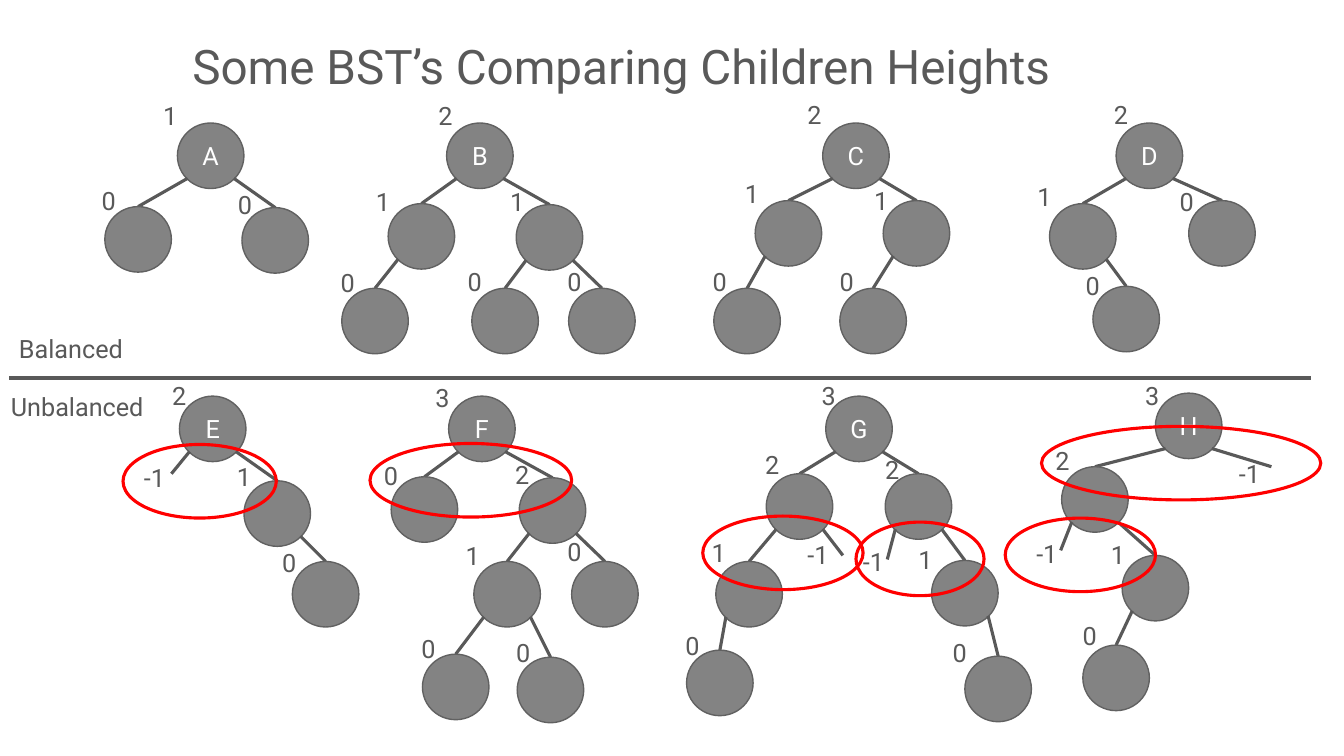
from dataclasses import dataclass

from lxml import etree
from pptx import Presentation
from pptx.dml.color import RGBColor
from pptx.enum import shapes as kinds, text as texts
from pptx.oxml.ns import qn
from pptx.util import Inches, Pt

FONT, INK = "Roboto", "595959"
WIDE, HIGH = 0.66, 0.65


@dataclass
class Gap:
    """Missing child: end of its stub and corner of its label."""
    x: float
    y: float
    tag_x: float
    tag_y: float


@dataclass
class Node:
    """Circle corner, label corner and children."""
    x: float
    y: float
    tag_x: float
    tag_y: float
    kids: tuple = ()
    name: str = ""


@dataclass
class Ring:
    x: float
    y: float
    wide: float


TREES = [
    Node(1.76, 1.22, 1.52, 0.95, (
        Node(1.04, 2.05, 0.91, 1.79),
        Node(2.4, 2.06, 2.26, 1.83)), "A"),
    Node(4.43, 1.22, 4.25, 0.95, (
        Node(3.85, 2.02, 3.63, 1.8, (Node(3.39, 2.86, 3.28, 2.6),)),
        Node(5.12, 2.03, 4.96, 1.8, (
            Node(4.68, 2.86, 4.54, 2.59),
            Node(5.64, 2.86, 5.53, 2.59)))), "B"),
    Node(8.16, 1.22, 7.91, 0.94, (
        Node(7.49, 1.99, 7.29, 1.72, (Node(7.08, 2.86, 6.97, 2.59),)),
        Node(8.76, 1.99, 8.57, 1.79, (Node(8.33, 2.86, 8.23, 2.59),))), "C"),
    Node(11.07, 1.22, 10.95, 0.94, (
        Node(10.41, 2.02, 10.19, 1.75, (Node(10.84, 2.84, 10.67, 2.63),)),
        Node(11.79, 1.99, 11.6, 1.8)), "D"),
    Node(1.78, 3.93, 1.61, 3.72, (
        Gap(1.7, 4.7, 1.33, 4.54),
        Node(2.42, 4.77, 2.25, 4.53, (Node(2.9, 5.57, 2.7, 5.38),))), "E"),
    Node(4.45, 3.93, 4.22, 3.74, (
        Node(3.88, 4.73, 3.71, 4.52),
        Node(5.15, 4.74, 5.01, 4.51, (
            Node(4.7, 5.57, 4.52, 5.31, (
                Node(4.19, 6.49, 4.08, 6.23),
                Node(5.13, 6.52, 5.02, 6.27))),
            Node(5.67, 5.57, 5.53, 5.27)))), "F"),
    Node(8.19, 3.93, 8.05, 3.72, (
        Node(7.6, 4.7, 7.49, 4.41, (
            Node(7.1, 5.57, 6.96, 5.28, (Node(6.81, 6.45, 6.7, 6.2),)),
            Gap(8.36, 5.51, 7.91, 5.3))),
        Node(8.78, 4.7, 8.68, 4.46, (
            Gap(8.8, 5.55, 8.46, 5.37),
            Node(9.24, 5.56, 9.01, 5.35, (Node(9.57, 6.51, 9.35, 6.27),))))), "G"),
    Node(11.46, 3.9, 11.26, 3.72, (
        Node(10.53, 4.63, 10.37, 4.37, (
            Gap(10.52, 5.46, 10.18, 5.29),
            Node(11.13, 5.51, 10.92, 5.3, (Node(10.74, 6.4, 10.64, 6.1),)))),
        Gap(12.61, 4.63, 12.19, 4.5)), "H"),
]

RINGS = [Ring(1.22, 4.41, 1.52), Ring(3.67, 4.4, 2), Ring(6.97, 5.12, 1.59),
         Ring(8.49, 5.18, 1.27), Ring(9.97, 5.14, 1.49), Ring(10.33, 4.23, 2.77)]


def paint(color, tint: str) -> None:
    color.rgb = RGBColor.from_string(tint)


def style(frame, size: float, tint: str) -> None:
    for run in frame.paragraphs[0].runs:
        run.font.name = FONT
        run.font.size = Pt(size)
        paint(run.font.color, tint)


def add_text(slide, words: str, x: float, y: float, wide: float):
    box = slide.shapes.add_textbox(Inches(x), Inches(y), Inches(wide), Inches(0.4))
    frame = box.text_frame
    frame.text = words
    frame.word_wrap = False
    frame.auto_size = texts.MSO_AUTO_SIZE.SHAPE_TO_FIT_TEXT
    style(frame, 18, INK)


def add_line(slide, x1: float, y1: float, x2: float, y2: float):
    line = slide.shapes.add_connector(
        kinds.MSO_CONNECTOR.STRAIGHT, Inches(x1), Inches(y1), Inches(x2), Inches(y2))
    paint(line.line.color, INK)
    line.line.width = Pt(2.25)
    etree.SubElement(line._element.spPr, qn("a:effectLst"))
    return line


def add_oval(slide, x: float, y: float, wide: float, high: float, edge: str, weight: float):
    oval = slide.shapes.add_shape(
        kinds.MSO_SHAPE.OVAL, Inches(x), Inches(y), Inches(wide), Inches(high))
    oval.shadow.inherit = False
    oval.fill.background()
    paint(oval.line.color, edge)
    oval.line.width = Pt(weight)
    return oval


def height(part: Node | Gap) -> int:
    if isinstance(part, Gap):
        return -1
    return 1 + max((height(kid) for kid in part.kids), default=-1)


def add_tree(slide, node: Node):
    """Draw a node with its height and all below it; return its circle."""
    disc = add_oval(slide, node.x, node.y, WIDE, HIGH, "616161", 1)
    disc.fill.solid()
    paint(disc.fill.fore_color, "838383")
    if node.name:
        frame = disc.text_frame
        frame.text = node.name
        frame.vertical_anchor = texts.MSO_ANCHOR.MIDDLE
        frame.paragraphs[0].alignment = texts.PP_ALIGN.CENTER
        style(frame, 18, "FFFFFF")
    add_text(slide, str(height(node)), node.tag_x, node.tag_y, 0.35)

    for kid in node.kids:
        gap = isinstance(kid, Gap)
        end = kid.x if gap else kid.x + WIDE / 2
        side = 0.1 if end < node.x + WIDE / 2 else 0.56
        line = add_line(slide, node.x + side, node.y + 0.55, end, kid.y)
        if gap:
            add_text(slide, str(height(kid)), kid.tag_x, kid.tag_y, 0.44)
        else:
            line.end_connect(add_tree(slide, kid), 0)
    return disc


def add_title(slide) -> None:
    box = slide.shapes.add_textbox(Inches(1.81), Inches(0.26), Inches(10.25), Inches(0.73))
    frame = box.text_frame
    frame.text = "Some BST’s Comparing Children Heights"
    frame.word_wrap = True
    frame.vertical_anchor = texts.MSO_ANCHOR.BOTTOM
    frame.paragraphs[0].line_spacing = 0.9
    style(frame, 34, INK)


def main() -> None:
    deck = Presentation()
    deck.slide_width, deck.slide_height = Inches(13.33), Inches(7.5)
    slide = deck.slides.add_slide(deck.slide_layouts[6])
    add_title(slide)
    for tree in TREES:
        add_tree(slide, tree)
    add_line(slide, 0.09, 3.75, 13, 3.75)
    add_text(slide, "Balanced", 0.09, 3.26, 1.27)
    add_text(slide, "Unbalanced", 0.01, 3.83, 1.59)
    for ring in RINGS:
        add_oval(slide, ring.x, ring.y, ring.wide, 0.73, "FF0000", 2.25)
    deck.save("out.pptx")


if __name__ == "__main__":
    main()
